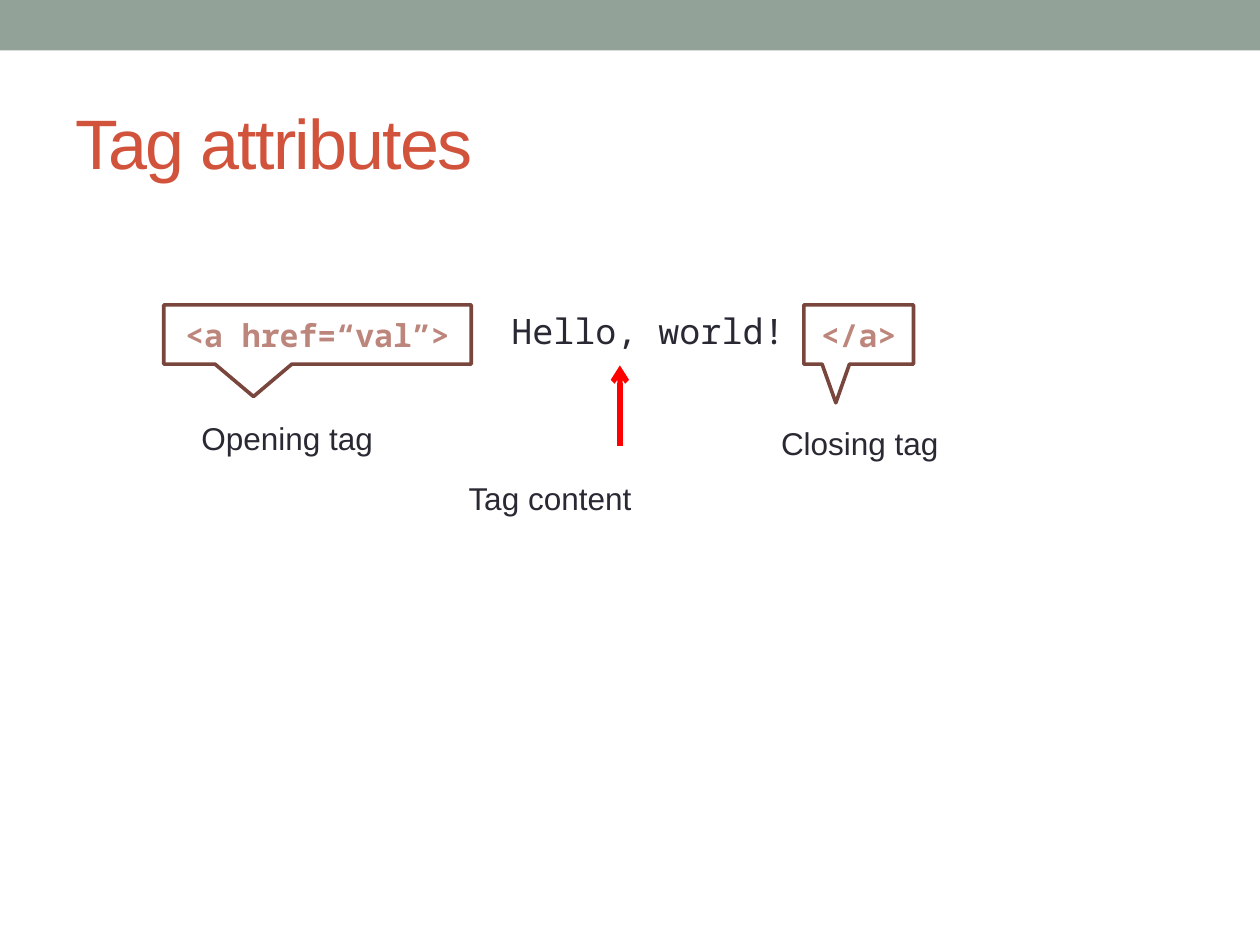
import pptx
import pptx.dml.color
import pptx.enum.shapes
import pptx.enum.text
import pptx.oxml.ns
import pptx.util
from lxml import etree

Inches = pptx.util.Inches
Pt = pptx.util.Pt
RGBColor = pptx.dml.color.RGBColor
MSO_SHAPE = pptx.enum.shapes.MSO_SHAPE
MSO_ANCHOR = pptx.enum.text.MSO_ANCHOR
PP_ALIGN = pptx.enum.text.PP_ALIGN
qn = pptx.oxml.ns.qn

SAGE = RGBColor(0x93, 0xA2, 0x99)
RUST = RGBColor(0xD2, 0x53, 0x3C)
BROWN = RGBColor(0x79, 0x46, 0x3D)
ROSE = RGBColor(0xBD, 0x86, 0x7C)
INK = RGBColor(0x29, 0x29, 0x34)
RED = RGBColor(0xFF, 0x00, 0x00)
WHITE = RGBColor(0xFF, 0xFF, 0xFF)


class TagSlide:
    """Draws the elements of a tag diagram in one style on the current slide."""

    sans = "Arial"
    mono = "Noto Sans Mono"

    def __init__(self, presentation):
        self.slide = presentation.slides.add_slide(presentation.slide_layouts[6])

    def set_text(self, shape, text, size, font, color, bold=False):
        paragraph = shape.text_frame.paragraphs[0]
        paragraph.text = text
        paragraph.font.size = Pt(size)
        paragraph.font.name = font
        paragraph.font.color.rgb = color
        paragraph.font.bold = bold
        return paragraph

    def block(self, kind, left, top, width, height, fill):
        shape = self.slide.shapes.add_shape(
            kind, Inches(left), Inches(top), Inches(width), Inches(height))
        shape.shadow.inherit = False
        shape.fill.solid()
        shape.fill.fore_color.rgb = fill
        shape.line.fill.background()
        return shape

    def band(self, height, fill):
        self.block(MSO_SHAPE.RECTANGLE, 0, 0, 10, height, fill)

    def label(self, text, left, top, width, height=0.4, size=18, font=sans, color=INK):
        box = self.slide.shapes.add_textbox(
            Inches(left), Inches(top), Inches(width), Inches(height))
        box.text_frame.word_wrap = True
        self.set_text(box, text, size, font, color)
        return box

    def title(self, text):
        box = self.label(text, 0.5, 0.58, 9, 1.08, 40, color=RUST)
        box.text_frame.vertical_anchor = MSO_ANCHOR.MIDDLE
        run = box.text_frame.paragraphs[0].runs[0]
        run.font._element.set("spc", "-100")

    def callout(self, text, left, width, tip):
        shape = self.block(
            MSO_SHAPE.RECTANGULAR_CALLOUT, left, 2.42, width, 0.47, WHITE)
        shape.adjustments[0] = -0.208
        shape.adjustments[1] = tip
        shape.line.color.rgb = BROWN
        shape.line.width = Pt(2.08)
        shape.text_frame.vertical_anchor = MSO_ANCHOR.MIDDLE
        paragraph = self.set_text(shape, text, 18, self.mono, ROSE, bold=True)
        paragraph.alignment = PP_ALIGN.CENTER

    def arrow(self, x, start, end):
        connector = self.slide.shapes.add_connector(
            pptx.enum.shapes.MSO_CONNECTOR.STRAIGHT,
            Inches(x), Inches(start), Inches(x), Inches(end))
        connector.line.color.rgb = RED
        connector.line.width = Pt(3)
        etree.SubElement(connector.line._get_or_add_ln(), qn("a:tailEnd"), type="arrow")
        etree.SubElement(connector._element.spPr, qn("a:effectLst"))


def main():
    presentation = pptx.Presentation()
    presentation.slide_width = Inches(10)
    presentation.slide_height = Inches(7.5)

    diagram = TagSlide(presentation)
    diagram.band(0.4, SAGE)
    diagram.title("Tag attributes")
    diagram.callout("</a>", 6.38, 0.87, tip=1.154)
    diagram.callout("<a href=“val”>", 1.3, 2.44, tip=1.048)
    diagram.label("Opening tag", 1.5, 3.28, 2.05)
    diagram.label("Closing tag", 6.1, 3.32, 2.28)
    diagram.label("Hello, world!", 3.96, 2.41, 2.85, 0.44, 20, TagSlide.mono)
    diagram.arrow(4.92, 3.54, 2.9)
    diagram.label("Tag content", 3.62, 3.75, 2.61)

    presentation.save("out.pptx")


if __name__ == "__main__":
    main()
